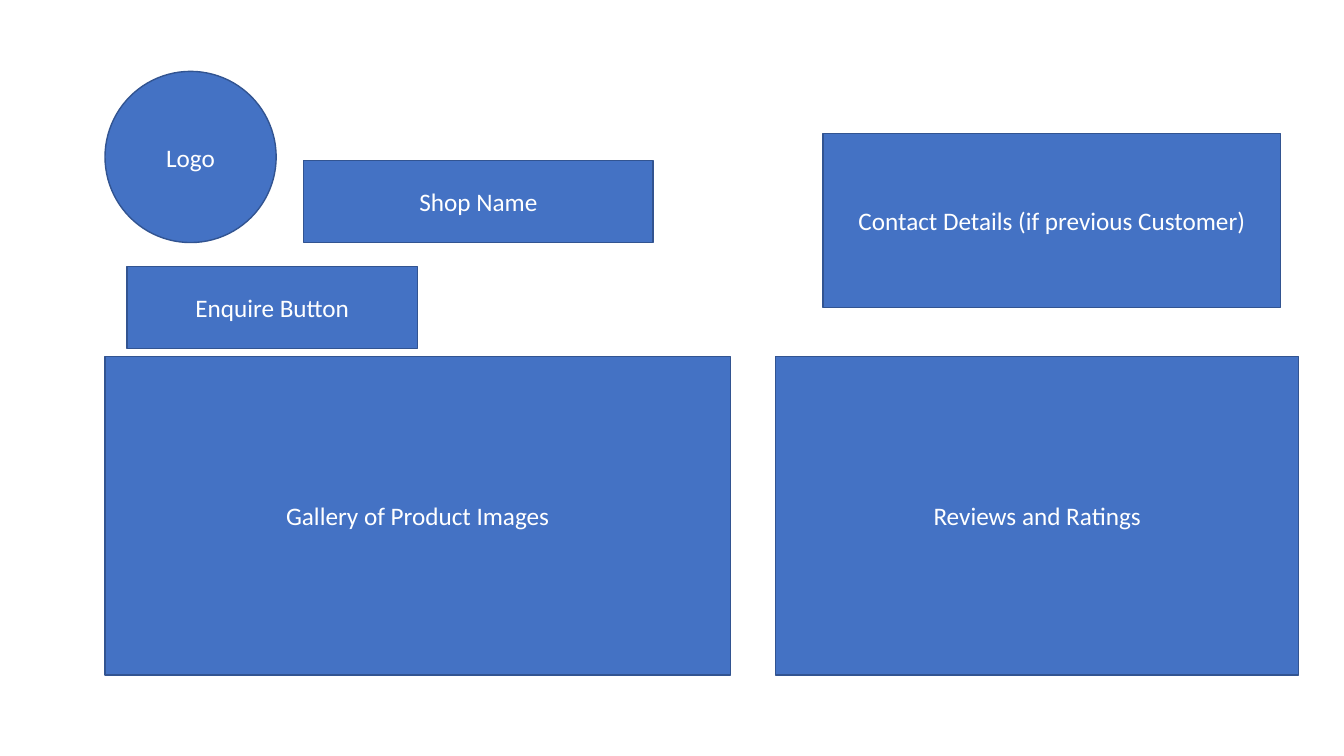
from pptx import Presentation
from pptx import util as u
from pptx.dml import color
from pptx.enum import shapes, text

OVAL = shapes.MSO_SHAPE.OVAL
RECTANGLE = shapes.MSO_SHAPE.RECTANGLE

LEFT_MARGIN = 75
BUTTON_HEIGHT = 58.5
PANEL_TOP, PANEL_HEIGHT = 254.75, 227.5

WIREFRAME = [
    ("Logo", OVAL, LEFT_MARGIN, 51, 122.25, 122.25),
    ("Shop Name", RECTANGLE, 217, 114.75, 249.5, BUTTON_HEIGHT),
    ("Gallery of Product Images", RECTANGLE, LEFT_MARGIN, PANEL_TOP, 446.75, PANEL_HEIGHT),
    ("Reviews and Ratings", RECTANGLE, 554, PANEL_TOP, 373.75, PANEL_HEIGHT),
    ("Enquire Button", RECTANGLE, 90.75, 190.25, 207.5, BUTTON_HEIGHT),
    ("Contact Details (if previous Customer)", RECTANGLE, 588, 95.5, 326.75, 124),
]


def paint(target, value):
    target.rgb = color.RGBColor.from_string(value)


def write(box, wording, size=18, font="Calibri", ink="FFFFFF"):
    frame = box.text_frame
    frame.word_wrap = True
    frame.vertical_anchor = text.MSO_ANCHOR.MIDDLE
    para = frame.paragraphs[0]
    para.alignment = text.PP_ALIGN.CENTER
    span = para.add_run()
    span.text = wording
    span.font.size = u.Pt(size)
    span.font.name = font
    paint(span.font.color, ink)


def add_block(page, wording, kind, *bounds, fill="4472C4", outline="325491"):
    box = page.shapes.add_shape(kind, *map(u.Pt, bounds))
    box.shadow.inherit = False
    box.fill.solid()
    paint(box.fill.fore_color, fill)
    paint(box.line.color, outline)
    box.line.width = u.Pt(1)
    write(box, wording)


deck = Presentation()
deck.slide_width, deck.slide_height = u.Pt(960), u.Pt(540)
page = deck.slides.add_slide(deck.slide_layouts[6])
for block in WIREFRAME:
    add_block(page, *block)
deck.save("out.pptx")
